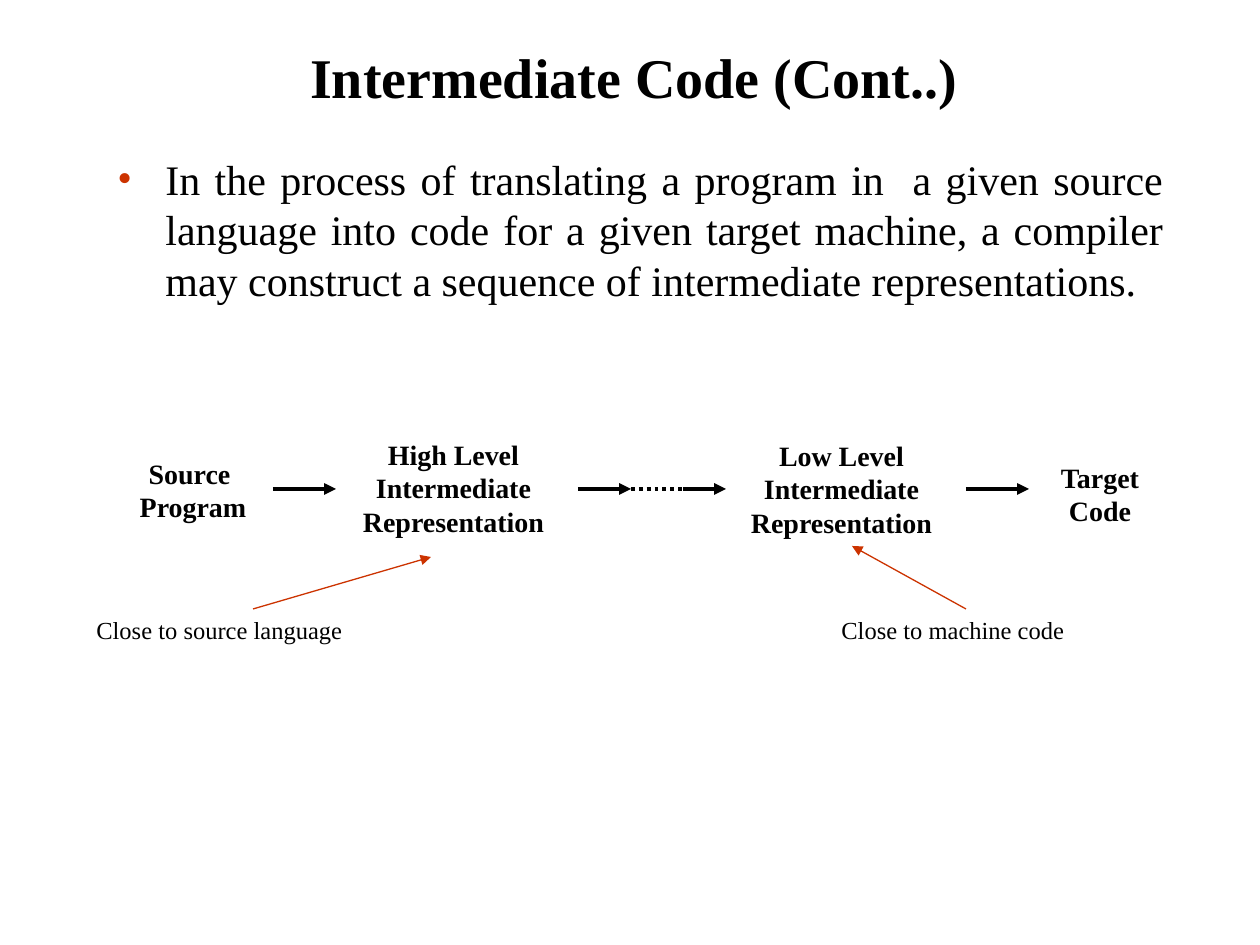
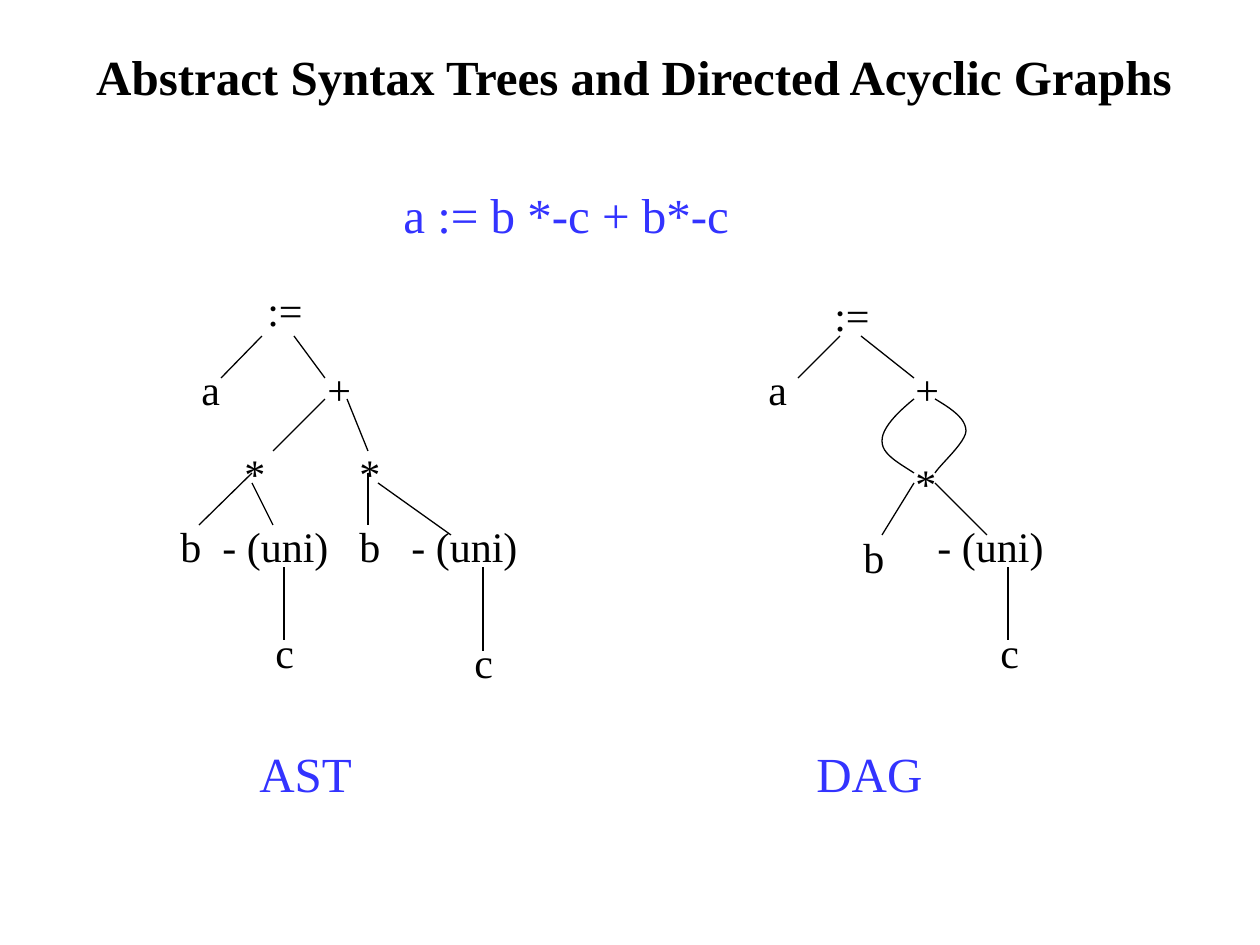
import pptx
import pptx.util
import pptx.dml.color
import pptx.enum.dml
import pptx.enum.shapes
import pptx.enum.text
import pptx.oxml
import pptx.oxml.ns

EMU_PER_PX = 914400 / 126
FONT = "Times New Roman"
BLACK, RED, BLUE = "000000", "CC3300", "3333FF"
ALIGN = pptx.enum.text.PP_ALIGN
ANCHOR = pptx.enum.text.MSO_ANCHOR
DOTTED = pptx.enum.dml.MSO_LINE.ROUND_DOT

TITLE_BOX = (42, 32, 1184, 88)
BODY_BOX = (105, 147, 1071, 777)
BULLET_INDENT = 48

PROCESS = ("In the process of translating a program in  a given source language "
           "into code for a given target machine, a compiler may construct a "
           "sequence of intermediate representations.")
# Stage lines and box: left, top, width, height
STAGES = [
    (["Source ", "Program"], (126, 450, 134, 81)),
    (["High Level", "Intermediate", "Representation"], (349, 431, 209, 113)),
    (["Low Level", "Intermediate", "Representation"], (737, 432, 209, 113)),
    (["Target", "Code"], (1046, 454, 108, 81)),
]
FLOW_Y = 489
# Flow segment: start x, end x, dotted
FLOW = [(273, 336, False), (578, 631, False), (631, 683, True),
        (683, 726, False), (966, 1029, False)]
# Remark, its box, and its arrow: x1, y1, x2, y2
REMARKS = [
    ("Close to source language", (84, 609, 276, 43), (253, 609, 431, 557)),
    ("Close to machine code", (829, 609, 252, 43), (966, 609, 852, 546)),
]

EXPRESSION = ("a := b *-c + b*-c", (391, 178, 356, 72))
NODE_HEIGHT = 63
# Each width leaves a few px to spare, so that no label breaks
NODE_WIDTHS = {":=": 64, "a": 48, "+": 53, "*": 49, "b": 49, "- (uni)": 135, "c": 48}
# Nodes: label, left, top. Edges: x1, y1, x2, y2. Arcs: start, then cubic segments.
GRAPHS = [
    {
        "caption": ("AST", (247, 737, 122, 72)),
        "nodes": [(":=", 255, 278), ("a", 189, 357), ("+", 315, 357),
                  ("*", 232, 441), ("*", 347, 441),
                  ("b", 168, 514), ("- (uni)", 210, 514),
                  ("b", 347, 514), ("- (uni)", 399, 514),
                  ("c", 263, 620), ("c", 462, 630)],
        "edges": [(262, 336, 221, 378), (294, 336, 325, 378),
                  (325, 399, 273, 451), (347, 399, 368, 451),
                  (252, 473, 199, 525), (252, 483, 273, 525),
                  (368, 473, 368, 525), (378, 483, 451, 535),
                  (284, 567, 284, 640), (483, 567, 483, 651)],
        "arcs": [],
    },
    {
        "caption": ("DAG", (804, 737, 136, 72)),
        "nodes": [(":=", 822, 283), ("a", 756, 357), ("+", 903, 357),
                  ("*", 903, 451), ("b", 851, 525), ("- (uni)", 925, 514),
                  ("c", 988, 620)],
        "edges": [(840, 336, 798, 378), (861, 336, 914, 378),
                  (914, 483, 882, 535), (935, 483, 987, 535),
                  (1008, 567, 1008, 640)],
        "arcs": [
            [(914, 399), [(897, 413), (882, 428), (882, 441)],
             [(882, 454), (897, 462), (914, 473)]],
            [(935, 399), [(950, 408), (966, 418), (966, 431)],
             [(966, 442), (940, 465), (935, 473)]],
        ],
    },
]


def px(length):
    return pptx.util.Emu(round(length * EMU_PER_PX))


def rgb(color):
    return pptx.dml.color.RGBColor.from_string(color)


def add_xml(parent, tag, **attributes):
    child = pptx.oxml.parse_xml(f"<a:{tag} {pptx.oxml.ns.nsdecls('a')}/>")
    for name, value in attributes.items():
        child.set(name, value)
    parent.append(child)
    return child


def add_text(slide, lines, box, size, color=BLACK, bold=False,
             align=ALIGN.LEFT, wrap=False, anchor=ANCHOR.TOP):
    """Add a text box with one paragraph per line; return its frame."""
    frame = slide.shapes.add_textbox(*map(px, box)).text_frame
    frame.word_wrap = wrap
    frame.vertical_anchor = anchor
    if not wrap:
        frame.auto_size = pptx.enum.text.MSO_AUTO_SIZE.SHAPE_TO_FIT_TEXT
    frame.text = "\n".join(lines)
    for paragraph in frame.paragraphs:
        paragraph.alignment = align
        font = paragraph.font
        font.name, font.size, font.bold = FONT, pptx.util.Pt(size), bold
        font.color.rgb = rgb(color)
    return frame


def add_title(slide, title, size):
    add_text(slide, [title], TITLE_BOX, size, bold=True, align=ALIGN.CENTER,
             wrap=True, anchor=ANCHOR.MIDDLE)


def add_line(slide, ends, color=BLACK, width=0.75, arrow=False, dash=None):
    connector = slide.shapes.add_connector(
        pptx.enum.shapes.MSO_CONNECTOR.STRAIGHT, *map(px, ends))
    line = connector.line
    line.color.rgb, line.width = rgb(color), pptx.util.Pt(width)
    if dash:
        line.dash_style = dash
    if arrow:
        add_xml(line._get_or_add_ln(), "tailEnd", type="triangle")
    add_xml(connector._element.spPr, "effectLst")


def bezier(points, t):
    weights = ((1 - t) ** 3, 3 * t * (1 - t) ** 2, 3 * t * t * (1 - t), t ** 3)
    return tuple(px(sum(w * p[axis] for w, p in zip(weights, points)))
                 for axis in (0, 1))


def add_arc(slide, start, *segments, steps=12):
    """Draw an open curve through cubic segments."""
    builder = slide.shapes.build_freeform(*map(px, start))
    for segment in segments:
        points = [start, *segment]
        builder.add_line_segments(
            [bezier(points, step / steps) for step in range(1, steps + 1)], close=False)
        start = segment[-1]
    arc = builder.convert_to_shape()
    arc.shadow.inherit = False
    arc.fill.background()
    arc.line.color.rgb, arc.line.width = rgb(BLACK), pptx.util.Pt(0.75)


def build_intermediate_code(slide):
    add_title(slide, "Intermediate Code (Cont..)", 32)
    process = add_text(slide, [PROCESS], BODY_BOX, 24, align=ALIGN.JUSTIFY,
                       wrap=True).paragraphs[0]
    process.space_before = pptx.util.Pt(6)
    properties = process._p.get_or_add_pPr()
    properties.set("marL", str(px(BULLET_INDENT)))
    properties.set("indent", str(px(-BULLET_INDENT)))
    # The default run properties must stay last among the paragraph properties
    defaults = properties.find(pptx.oxml.ns.qn("a:defRPr"))
    add_xml(add_xml(properties, "buClr"), "srgbClr", val=RED)
    add_xml(properties, "buFont", typeface=FONT)
    add_xml(properties, "buChar", char="•")
    if defaults is not None:
        properties.append(defaults)

    for lines, box in STAGES:
        add_text(slide, lines, box, 16, bold=True, align=ALIGN.CENTER)
    for start, end, dotted in FLOW:
        add_line(slide, (start, FLOW_Y, end, FLOW_Y), width=2.25,
                 arrow=not dotted, dash=DOTTED if dotted else None)
    for remark, box, arrow in REMARKS:
        add_text(slide, [remark], box, 14)
        add_line(slide, arrow, color=RED, arrow=True)


def build_syntax_graphs(slide):
    add_title(slide, "Abstract Syntax Trees and Directed Acyclic Graphs", 28)
    for heading, box in [EXPRESSION] + [graph["caption"] for graph in GRAPHS]:
        add_text(slide, [heading], box, 28, color=BLUE)
    for graph in GRAPHS:
        for label, left, top in graph["nodes"]:
            add_text(slide, [label], (left, top, NODE_WIDTHS[label], NODE_HEIGHT), 24)
        for edge in graph["edges"]:
            add_line(slide, edge)
        for arc in graph["arcs"]:
            add_arc(slide, *arc)


def main():
    deck = pptx.Presentation()
    deck.slide_width, deck.slide_height = px(1260), px(945)
    for build in (build_intermediate_code, build_syntax_graphs):
        build(deck.slides.add_slide(deck.slide_layouts[6]))
    deck.save("out.pptx")


if __name__ == "__main__":
    main()
